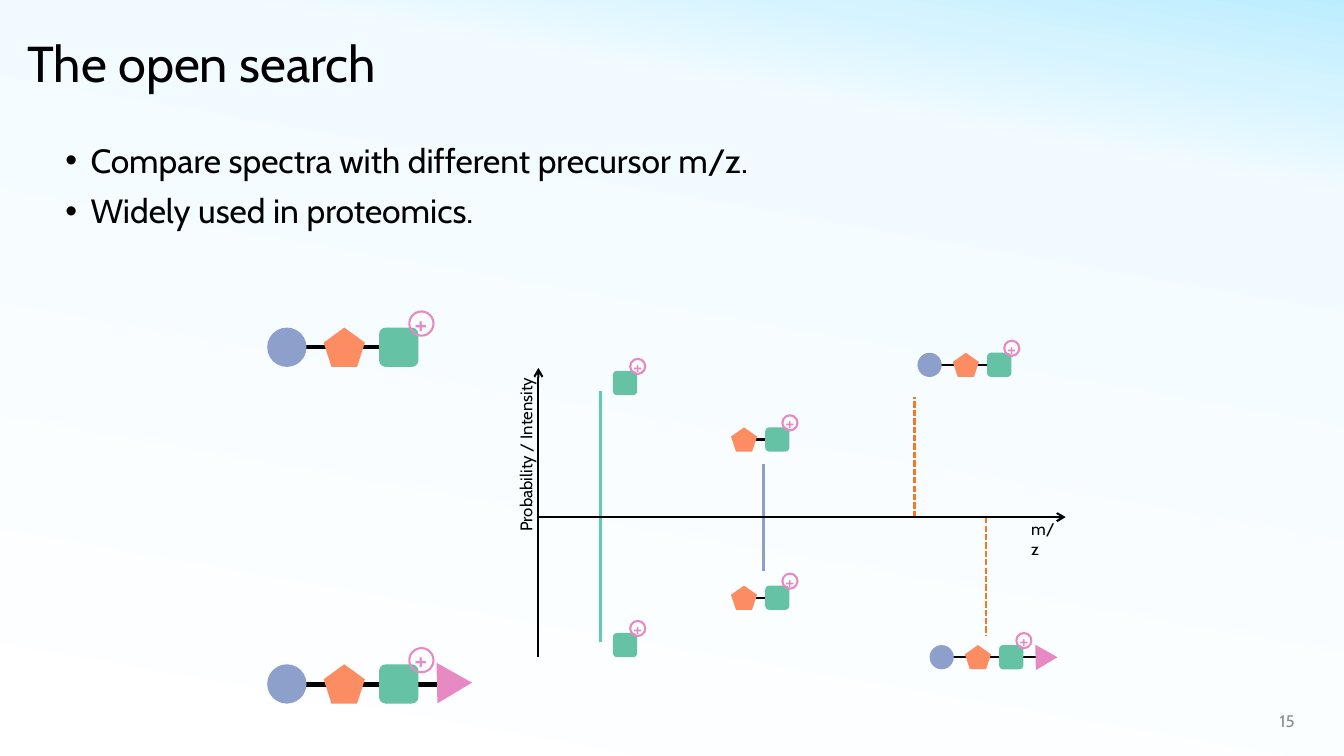
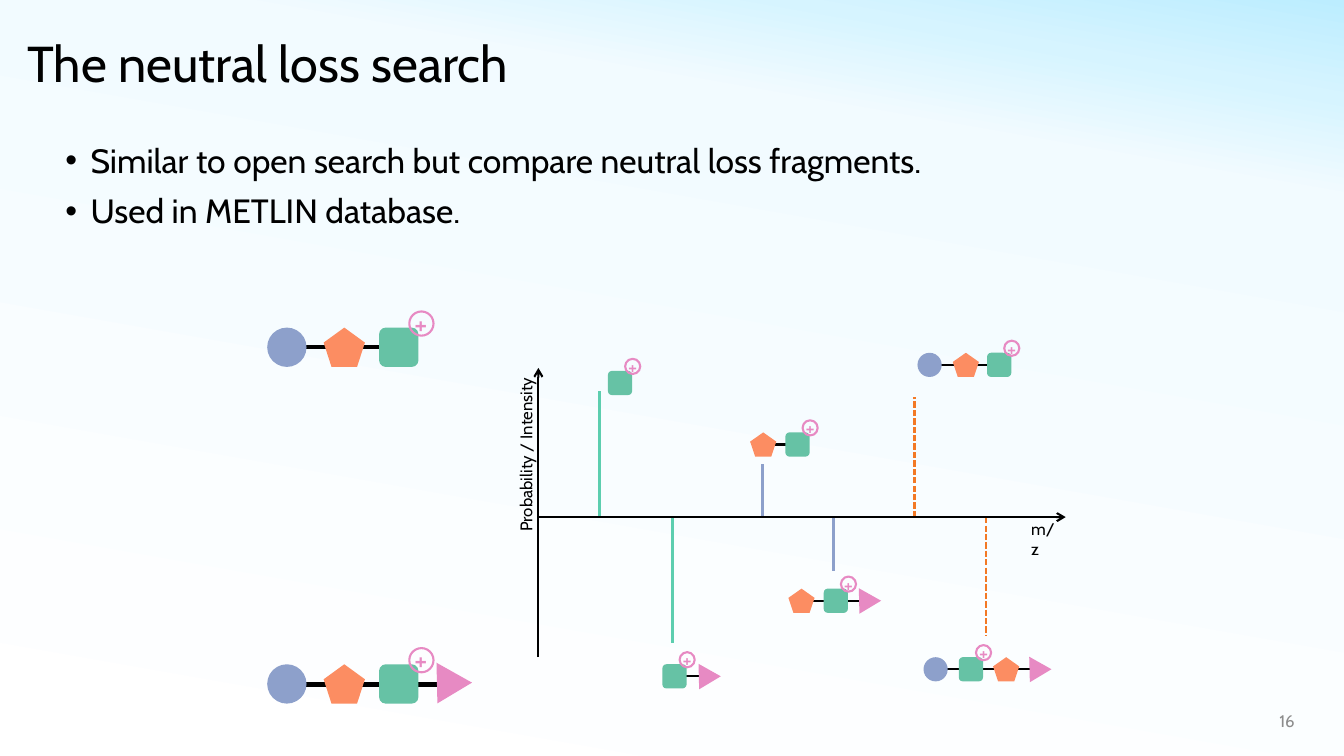
from dataclasses import dataclass

from lxml import etree
from pptx import Presentation
from pptx.dml.color import RGBColor
from pptx.enum import dml, shapes, text
from pptx.oxml.ns import qn
from pptx.util import Inches, Pt


# Shared look
@dataclass(frozen=True)
class Theme:
    font: str = "Cabin"
    ink: str = "000000"
    muted: str = "8C8C8C"
    blue: str = "8DA0CB"
    orange: str = "FC8D62"
    green: str = "66C2A5"
    pink: str = "E78AC3"
    green_peak: str = "5DCEAF"
    precursor_peak: str = "F37925"
    backdrop: tuple = ((0, "FFFFFF"), (80, "F2FBFF"), (90, "D6F4FF"), (100, "BCEDFF"))
    title_size: int = 36
    body_size: int = 24
    label_size: int = 12


THEME = Theme()


@dataclass(frozen=True)
class MoleculeScale:
    side: float
    pitch: float
    pentagon_width: float
    tag: tuple  # left and top offset from the preceding unit, width, height
    charge: tuple  # left and top offset from the square, diameter
    plus: tuple  # left and top offset from the square, width, height
    plus_size: int
    bond: float


LARGE = MoleculeScale(0.39, 0.555, 0.41, (0.46, -0.04, 0.40, 0.35),
                      (0.30, -0.16, 0.24), (0.24, -0.26, 0.35, 0.44), 20, 3)
SMALL = MoleculeScale(0.24, 0.345, 0.26, (0.29, -0.02, 0.25, 0.22),
                      (0.17, -0.12, 0.15), (0.09, -0.21, 0.31, 0.34), 14, 1.5)

# Each letter is one molecule unit
UNITS = {
    "C": (shapes.MSO_SHAPE.OVAL, THEME.blue),
    "P": (shapes.MSO_SHAPE.REGULAR_PENTAGON, THEME.orange),
    "S": (shapes.MSO_SHAPE.ROUNDED_RECTANGLE, THEME.green),
    "T": (shapes.MSO_SHAPE.ISOSCELES_TRIANGLE, THEME.pink),
}

AXIS_X, AXIS_Y = 5.34, 5.13


def box(left, top, width, height):
    return [Inches(round(v, 2)) for v in (left, top, width, height)]


def add_run(paragraph, words, size, color):
    run = paragraph.add_run()
    run.text = words
    run.font.name = THEME.font
    run.font.size = Pt(size)
    run.font.color.rgb = RGBColor.from_string(color)


def add_label(slide, area, words, size, color=THEME.ink, wrap=True,
              align=text.PP_ALIGN.LEFT, anchor=text.MSO_ANCHOR.TOP, rotation=0):
    label = slide.shapes.add_textbox(*box(*area))
    label.rotation = rotation
    frame = label.text_frame
    frame.word_wrap = wrap
    frame.vertical_anchor = anchor
    frame.paragraphs[0].alignment = align
    add_run(frame.paragraphs[0], words, size, color)


def add_line(slide, start, end, color, width, dashed=False, arrow=False):
    line = slide.shapes.add_connector(
        shapes.MSO_CONNECTOR.STRAIGHT, *box(*start, *end))
    line.line.color.rgb = RGBColor.from_string(color)
    line.line.width = Pt(width)
    if dashed:
        line.line.dash_style = dml.MSO_LINE.SQUARE_DOT
    properties = line._element.spPr
    if arrow:
        etree.SubElement(properties.find(qn("a:ln")), qn("a:tailEnd"), type="arrow")
    etree.SubElement(properties, qn("a:effectLst"))


def add_figure(slide, preset, area, fill=None, outline=None):
    figure = slide.shapes.add_shape(preset, *box(*area))
    figure.shadow.inherit = False
    if fill:
        figure.fill.solid()
        figure.fill.fore_color.rgb = RGBColor.from_string(fill)
    else:
        figure.fill.background()
    if outline:
        figure.line.color.rgb = RGBColor.from_string(outline)
        figure.line.width = Pt(1.5)
    else:
        figure.line.fill.background()
    return figure


def add_molecule(slide, left, top, units, scale=SMALL):
    """Draw a chain of units on one bond, with a charge on its square."""
    areas = []
    for i, unit in enumerate(units):
        x = left + i * scale.pitch
        if unit == "T":
            dx, dy, width, height = scale.tag
            areas.append((x - scale.pitch + dx, top + dy, width, height))
        else:
            width = scale.pentagon_width if unit == "P" else scale.side
            areas.append((x, top, width, scale.side))
    if len(units) > 1:
        first, last = (a[0] + a[2] / 2 for a in (areas[0], areas[-1]))
        y = top + scale.side / 2
        add_line(slide, (first, y), (last, y), THEME.ink, scale.bond)
    for unit, area in zip(units, areas):
        preset, color = UNITS[unit]
        figure = add_figure(slide, preset, area, fill=color)
        if unit == "T":
            figure.rotation = 329
    # Charge mark
    square = left + units.index("S") * scale.pitch
    dx, dy, width, height = scale.plus
    add_label(slide, (square + dx, top + dy, width, height), "+", scale.plus_size,
              THEME.pink, wrap=False, align=text.PP_ALIGN.CENTER)
    dx, dy, diameter = scale.charge
    add_figure(slide, shapes.MSO_SHAPE.OVAL,
               (square + dx, top + dy, diameter, diameter), outline=THEME.pink)


def add_bullets(slide, lines):
    frame = slide.shapes.add_textbox(*box(0.55, 1.38, 11.33, 1.39)).text_frame
    frame.word_wrap = True
    for i, words in enumerate(lines):
        paragraph = frame.add_paragraph() if i else frame.paragraphs[0]
        properties = paragraph._p.get_or_add_pPr()
        properties.set("marL", str(Inches(0.25)))
        properties.set("indent", str(-Inches(0.25)))
        etree.SubElement(properties, qn("a:buFont"), typeface="Arial")
        etree.SubElement(properties, qn("a:buChar"), char="•")
        paragraph.line_spacing = 0.9
        if i:
            paragraph.space_before = Pt(10)
        add_run(paragraph, words, THEME.body_size, THEME.ink)


def add_spectrum(slide, peaks):
    """Draw the peaks, given as (x, from y, to y, colour), and the axes."""
    for x, start, end, color in peaks:
        precursor = color == THEME.precursor_peak
        add_line(slide, (x, start), (x, end), color,
                 1.5 if precursor else 2.25, dashed=precursor)
    add_line(slide, (AXIS_X, 6.52), (AXIS_X, 3.65), THEME.ink, 1.5, arrow=True)
    add_line(slide, (AXIS_X, AXIS_Y), (10.57, AXIS_Y), THEME.ink, 1.5, arrow=True)
    add_label(slide, (10.13, 5.1, 0.47, 0.3), "m/z", THEME.label_size)
    add_label(slide, (4.35, 4.36, 1.73, 0.3), "Probability / Intensity",
              THEME.label_size, wrap=False, align=text.PP_ALIGN.CENTER, rotation=270)


def set_backdrop(master):
    fill = master.background.fill
    fill.gradient()
    fill.gradient_angle = 80
    stops = master._element.find(".//" + qn("a:gsLst"))
    for stop in list(stops):
        stops.remove(stop)
    for position, color in THEME.backdrop:
        stop = etree.SubElement(stops, qn("a:gs"), pos=str(position * 1000))
        etree.SubElement(stop, qn("a:srgbClr"), val=color)


def add_search_slide(prs, number, heading, bullets, peaks, fragments):
    slide = prs.slides.add_slide(prs.slide_layouts[5])
    # Title
    title = slide.shapes.title
    title.left, title.top, title.width, title.height = box(0.17, 0.26, 13.06, 0.79)
    frame = title.text_frame
    frame.auto_size = text.MSO_AUTO_SIZE.NONE
    frame.vertical_anchor = text.MSO_ANCHOR.MIDDLE
    frame.paragraphs[0].alignment = text.PP_ALIGN.LEFT
    frame.paragraphs[0].line_spacing = 0.9
    add_run(frame.paragraphs[0], heading, THEME.title_size, THEME.ink)
    # Content
    add_bullets(slide, bullets)
    add_molecule(slide, 2.65, 3.25, "CPS", LARGE)
    add_molecule(slide, 2.65, 6.59, "CPST", LARGE)
    precursors = [(9.07, AXIS_Y, 3.94, THEME.precursor_peak),
                  (9.78, AXIS_Y, 6.3, THEME.precursor_peak)]
    add_spectrum(slide, peaks + precursors)
    add_molecule(slide, 9.1, 3.5, "CPS")
    for left, top, units in fragments:
        add_molecule(slide, left, top, units)
    # Page number
    add_label(slide, (12.44, 6.95, 0.5, 0.4), str(number), THEME.label_size,
              THEME.muted, align=text.PP_ALIGN.RIGHT, anchor=text.MSO_ANCHOR.MIDDLE)


def main():
    prs = Presentation()
    prs.slide_width, prs.slide_height = Inches(13.33), Inches(7.5)
    set_backdrop(prs.slide_master)
    add_search_slide(
        prs, 15, "The open search",
        ["Compare spectra with different precursor m/z.", "Widely used in proteomics."],
        peaks=[(5.96, 3.88, 6.37, THEME.green_peak), (7.57, 4.6, 5.66, THEME.blue)],
        fragments=[(6.08, 3.68, "S"), (6.08, 6.28, "S"), (7.25, 4.24, "PS"),
                   (7.25, 5.81, "PS"), (9.22, 6.4, "CPST")])
    add_search_slide(
        prs, 16, "The neutral loss search",
        ["Similar to open search but compare neutral loss fragments.",
         "Used in METLIN database."],
        peaks=[(5.95, AXIS_Y, 3.88, THEME.green_peak),
               (6.67, AXIS_Y, 6.38, THEME.green_peak),
               (7.56, AXIS_Y, 4.6, THEME.blue), (8.27, AXIS_Y, 5.66, THEME.blue)],
        fragments=[(6.03, 3.68, "S"), (6.57, 6.59, "ST"), (7.44, 4.29, "PS"),
                   (7.82, 5.84, "PST"), (9.16, 6.52, "CSPT")])
    prs.save("out.pptx")


if __name__ == "__main__":
    main()
